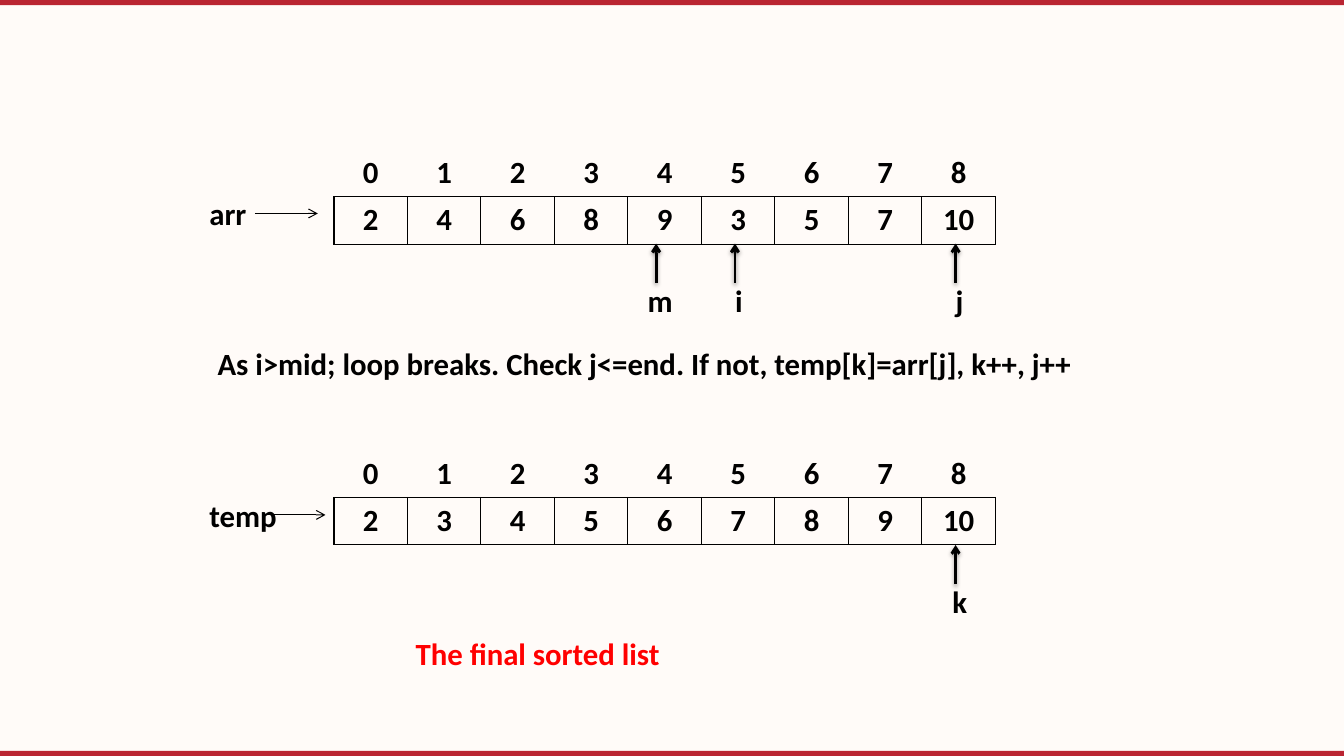
"""Build a slide showing the last step of merging two sorted halves."""
from dataclasses import dataclass

from lxml import etree
from pptx import Presentation
from pptx.dml.color import RGBColor
from pptx.enum.shapes import MSO_CONNECTOR, MSO_SHAPE
from pptx.enum.text import PP_ALIGN
from pptx.oxml import parse_xml
from pptx.oxml.ns import qn
from pptx.util import Pt

LEFT, CENTER = PP_ALIGN.LEFT, PP_ALIGN.CENTER
STRAIGHT, RECTANGLE = MSO_CONNECTOR.STRAIGHT, MSO_SHAPE.RECTANGLE
DRAWING = "http://schemas.openxmlformats.org/drawingml/2006/main"
PLAIN_TABLE_STYLE = "{2D5ABB26-0587-4C30-8999-92F81FD0307C}"
SLIDE_WIDTH, SLIDE_HEIGHT, BAR_HEIGHT = 960, 540, 3.6
TABLE_LEFT, COLUMN_WIDTH, ROW_HEIGHT = 238.5, 52.5, 33.5
LABEL_HEIGHT = 34


@dataclass(frozen=True)
class Theme:
    """Colours and type of the slide."""
    background: RGBColor = RGBColor(0xFF, 0xFB, 0xF8)
    bar: RGBColor = RGBColor(0xBA, 0x25, 0x32)
    ink: RGBColor = RGBColor(0, 0, 0)
    result: RGBColor = RGBColor(0xFF, 0, 0)
    font: str = "Calibri"
    size: float = 22


@dataclass(frozen=True)
class Pointer:
    """An index variable that points up at a cell."""
    name: str
    x: float


@dataclass(frozen=True)
class ArrayRow:
    """A named array with its values and index pointers."""
    name: str
    top: float
    arrow_left: float
    values: tuple[int, ...]
    pointers: tuple[Pointer, ...]


THEME = Theme()
ARRAYS = (
    ArrayRow("arr", 106.5, 182, (2, 4, 6, 8, 9, 3, 5, 7, 10),
             (Pointer("m", 468.7), Pointer("i", 525), Pointer("j", 682.6))),
    ArrayRow("temp", 321.8, 187.5, (2, 3, 4, 5, 6, 7, 8, 9, 10),
             (Pointer("k", 682.6),)),
)


def write_text(text_frame, text: str, *, color: RGBColor = THEME.ink, align=LEFT) -> None:
    """Put one formatted line into a text frame."""
    paragraph = text_frame.paragraphs[0]
    paragraph.alignment = align
    run = paragraph.add_run()
    run.text = text
    run.font.name = THEME.font
    run.font.size = Pt(THEME.size)
    run.font.bold = True
    run.font.color.rgb = color


def add_label(slide, text: str, left: float, top: float, width: float, **text_format) -> None:
    """Add a wrapped text box."""
    text_box = slide.shapes.add_textbox(Pt(left), Pt(top), Pt(width), Pt(LABEL_HEIGHT))
    text_box.text_frame.word_wrap = True
    write_text(text_box.text_frame, text, **text_format)


def add_bar(slide, top: float) -> None:
    """Add a full-width coloured bar."""
    bar = slide.shapes.add_shape(RECTANGLE, 0, Pt(top), Pt(SLIDE_WIDTH), Pt(BAR_HEIGHT))
    bar.shadow.inherit = False
    bar.fill.solid()
    bar.fill.fore_color.rgb = THEME.bar
    bar.line.fill.background()


def add_arrow(slide, start: tuple[float, float], end: tuple[float, float],
              width: float, shadow: bool = False) -> None:
    """Add an arrow, with a soft shadow if asked."""
    connector = slide.shapes.add_connector(STRAIGHT, *map(Pt, start + end))
    connector.line.color.rgb = THEME.ink
    connector.line.width = Pt(width)
    properties = connector._element.spPr
    etree.SubElement(properties.find(qn("a:ln")), qn("a:tailEnd"), type="arrow")
    effects = etree.SubElement(properties, qn("a:effectLst"))
    if shadow:
        effects.append(parse_xml(
            f'<a:outerShdw xmlns:a="{DRAWING}" blurRad="40000" dist="20000" dir="5400000" '
            f'rotWithShape="0"><a:srgbClr val="{THEME.ink}"><a:alpha val="38000"/>'
            '</a:srgbClr></a:outerShdw>'))


def add_borders(cell, sides: tuple[str, ...]) -> None:
    """Draw one-point borders on the given sides of a cell."""
    properties = cell._tc.get_or_add_tcPr()
    for position, side in enumerate(sides):
        properties.insert(position, parse_xml(
            f'<a:{side} xmlns:a="{DRAWING}" w="{Pt(1)}"><a:solidFill>'
            f'<a:srgbClr val="{THEME.ink}"/></a:solidFill></a:{side}>'))


def add_array_table(slide, array: ArrayRow) -> None:
    """Add a row of indices above a boxed row of values."""
    count = len(array.values)
    table = slide.shapes.add_table(
        2, count, Pt(TABLE_LEFT), Pt(array.top),
        Pt(COLUMN_WIDTH * count), Pt(ROW_HEIGHT * 2)).table
    table.first_row = table.horz_banding = False
    table._tbl.tblPr.find(qn("a:tableStyleId")).text = PLAIN_TABLE_STYLE
    rows = ((range(count), ("lnB",)), (array.values, ("lnL", "lnR", "lnT", "lnB")))
    for row, (numbers, sides) in enumerate(rows):
        for column, number in enumerate(numbers):
            cell = table.cell(row, column)
            cell.fill.background()
            add_borders(cell, sides)
            write_text(cell.text_frame, str(number), align=CENTER)


def add_array(slide, array: ArrayRow) -> None:
    """Add an array with its name, name arrow and pointers."""
    add_array_table(slide, array)
    add_label(slide, array.name, 142.5, array.top + 29.2, 73.5)
    arrow_y = array.top + 46
    add_arrow(slide, (array.arrow_left, arrow_y), (array.arrow_left + 45, arrow_y), 0.75)
    bottom = array.top + ROW_HEIGHT * 2
    for pointer in array.pointers:
        add_arrow(slide, (pointer.x, bottom + 28.5), (pointer.x, bottom + 0.5), 2, shadow=True)
        add_label(slide, pointer.name, pointer.x - 22.3, bottom + 24.2, 50.4, align=CENTER)


def main() -> None:
    """Build and save the presentation."""
    presentation = Presentation()
    presentation.slide_width, presentation.slide_height = Pt(SLIDE_WIDTH), Pt(SLIDE_HEIGHT)
    slide = presentation.slides.add_slide(presentation.slide_layouts[6])
    slide.background.fill.solid()
    slide.background.fill.fore_color.rgb = THEME.background
    for top in (SLIDE_HEIGHT - BAR_HEIGHT, 0):
        add_bar(slide, top)
    for array in ARRAYS:
        add_array(slide, array)
    add_label(slide, "As i>mid; loop breaks. Check j<=end. If not, temp[k]=arr[j], k++, j++",
              148.3, 242.6, 658)
    add_label(slide, "The final sorted list", 187.2, 450, 393.8,
              color=THEME.result, align=CENTER)
    presentation.save("out.pptx")


if __name__ == "__main__":
    main()
